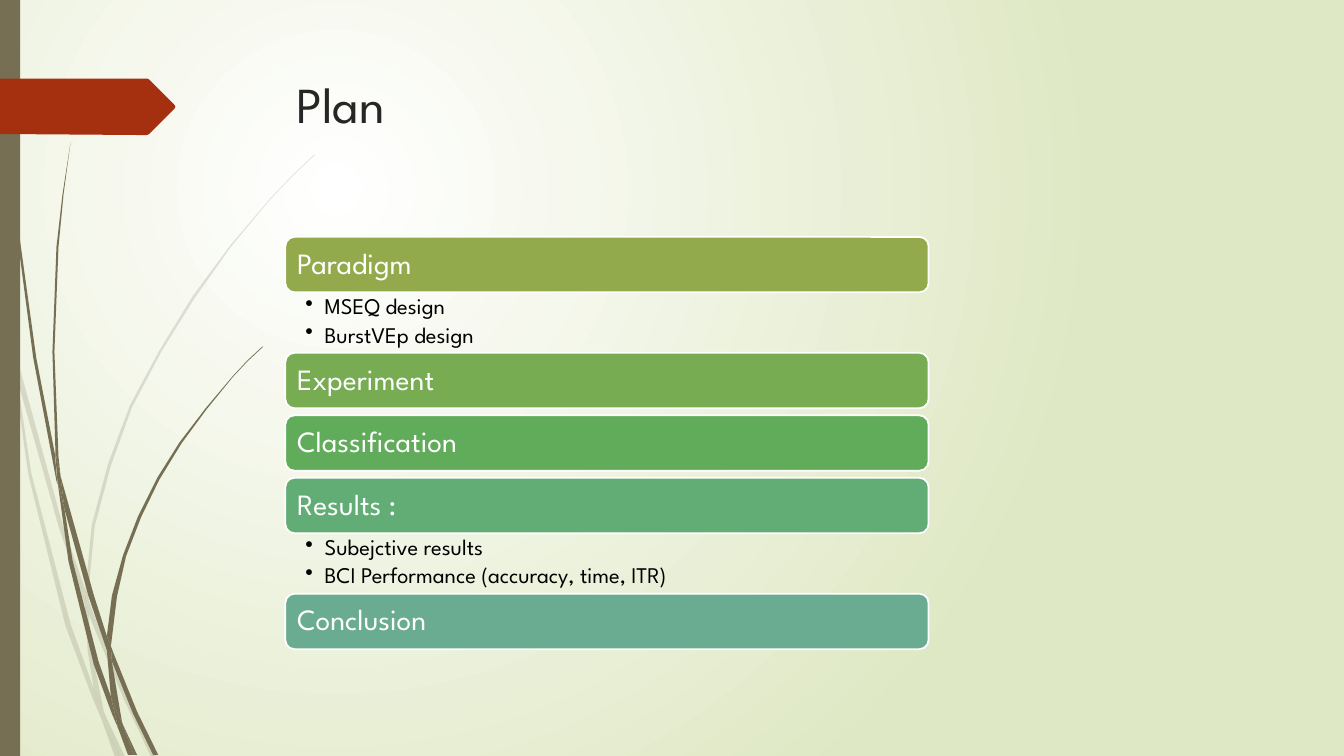
from dataclasses import dataclass

from lxml.etree import SubElement
from pptx import Presentation
from pptx.dml.color import RGBColor
from pptx.enum.shapes import MSO_SHAPE
from pptx.enum.text import MSO_ANCHOR, PP_ALIGN
from pptx.oxml.ns import qn
from pptx.util import Emu, Pt

EMU_PER_PX = 9144


@dataclass(frozen=True)
class Theme:
    """Colours, font and type sizes of the deck."""
    font: str = "League Spartan"
    centre: str = "FFFFFF"
    edge: str = "DFE8C4"
    grass: str = "766F54"
    arrow: str = "A53010"
    title: str = "262626"
    body: str = "000000"
    light: str = "FFFFFF"
    title_size: int = 36
    bar_size: int = 21
    point_size: int = 16


THEME = Theme()

PLAN = [
    ("Paradigm", "92AA4C", ["MSEQ design", "BurstVEp design"]),
    ("Experiment", "77AC52", []),
    ("Classification", "60AC5A", []),
    ("Results :", "62AC75",
     ["Subejctive results", "BCI Performance (accuracy, time, ITR)"]),
    ("Conclusion", "6AAC91", []),
]

PALE_BLADES = [
    "11,350 9,322 0,282 0,299 10,344",
    "58,522 84,599 85,586 62,520 14,345 17,376",
    "92,607 88,596 88,610 123,694 150,751 155,751 127,692",
    "119,751 124,751 105,711",
    "93,683 70,619 31,469 17,376 11,350 28,470 65,621 92,693 101,714 99,707",
    "84,599 87,646 93,683 96,692 105,711 103,706 91,646 88,610 88,608",
    "88,584 94,522 110,462 131,404 160,349 193,296 229,245 268,198 290,175 312,154 "
    "312,153 289,175 268,197 228,244 191,294 158,348 129,402 107,461 91,521 85,584 "
    "85,586 88,596",
    "101,714 114,751 119,751",
    "88,608 88,610 88,596 85,586 84,599",
    "96,692 93,683 99,707 101,714 119,751 105,711",
]

DARK_BLADES = [
    "7,110 17,233 33,355 56,477 57,481 55,457 55,453 36,355 19,232 8,109 5,48 "
    "4,0 3,0 4,48",
    "88,592 106,645 106,633 106,631 93,590 60,472 64,505",
    "113,649 110,641 111,656 132,708 152,749 157,749 136,706",
    "110,691 98,657 72,556 64,505 57,477 68,557 93,659 111,708 117,722 116,717",
    "60,472 58,453 54,349 58,245 63,193 70,141 62,193 56,245 52,349 55,449",
    "133,749 136,749 122,719",
    "57,477 64,505 60,472 55,449 55,453",
    "111,633 116,592 125,552 140,513 158,476 180,440 205,406 231,374 245,359 261,344 "
    "260,344 245,358 231,373 204,405 178,439 156,474 137,512 122,551 111,591 106,631 "
    "110,641",
    "117,722 127,749 131,749",
    "106,645 110,691 116,706 122,719 121,716 111,656 109,651",
    "106,645 109,651 111,656 110,641 106,631 106,633",
    "116,706 110,691 116,717 117,722 130,749 133,749 122,719",
]

ARROW = "173,108 148,133 146,134 136,134 0,133 0,78 136,78 146,78 148,79 173,104 174,106"


def px(*lengths):
    """Turn px lengths into EMU."""
    return [Emu(n * EMU_PER_PX) for n in lengths]


def paint(sp, color, line=None, alpha=None):
    """Give a shape a flat fill, an optional outline and no shadow."""
    sp.shadow.inherit = False
    sp.fill.solid()
    sp.fill.fore_color.rgb = RGBColor.from_string(color)
    if alpha:
        clr = sp.fill._xPr.find(".//" + qn("a:srgbClr"))
        SubElement(clr, qn("a:alpha"), val=str(alpha * 1000))
    if line:
        sp.line.color.rgb = RGBColor.from_string(line)
        sp.line.width = Pt(1.25)
    else:
        sp.line.fill.background()


def add_outline(shapes, outline, color, alpha=None):
    """Draw a closed outline from its corner list."""
    points = [tuple(map(int, pair.split(","))) for pair in outline.split()]
    builder = shapes.build_freeform(*points[0], scale=EMU_PER_PX)
    builder.add_line_segments(points[1:], close=True)
    paint(builder.convert_to_shape(), color, alpha=alpha)


def add_grass(slide, blades, alpha=None):
    """Draw a group of grass blades."""
    shapes = slide.shapes.add_group_shape().shapes
    for blade in blades:
        add_outline(shapes, blade, THEME.grass, alpha)


def set_insets(tf, left, top, right, bottom):
    """Set the inner margins of a text frame."""
    tf.margin_left, tf.margin_top, tf.margin_right, tf.margin_bottom = px(
        left, top, right, bottom)


def write(p, text, size, color, bullet=False, spacing=None, after=0):
    """Write one formatted paragraph."""
    p.alignment = PP_ALIGN.LEFT
    p.line_spacing = spacing
    p.space_after = Pt(after)
    if bullet:
        p.level = 1
        pPr = p._p.get_or_add_pPr()
        indent = px(19)[0]
        pPr.set("marL", str(indent))
        pPr.set("indent", str(-indent))
        SubElement(pPr, qn("a:buChar"), char="•")
    r = p.add_run()
    r.text = text
    r.font.name = THEME.font
    r.font.size = Pt(size)
    r.font.color.rgb = RGBColor.from_string(color)


def add_background(slide):
    """Fill the slide with a radial gradient."""
    fill = slide.background.fill
    fill.gradient()
    for stop, color in zip(fill.gradient_stops, (THEME.centre, THEME.edge)):
        stop.color.rgb = RGBColor.from_string(color)
    grad = slide.element.find(".//" + qn("a:gradFill"))
    grad.remove(grad.find(qn("a:lin")))
    shade = SubElement(grad, qn("a:path"), path="circle")
    SubElement(shade, qn("a:fillToRect"), l="50000", t="50000", r="100000", b="100000")


def add_title(slide, text):
    """Add the slide title."""
    tf = slide.shapes.add_textbox(*px(284, 68, 975, 140)).text_frame
    tf.word_wrap = True
    write(tf.paragraphs[0], text, THEME.title_size, THEME.title)


def add_bar(slide, y, text, color):
    """Add a rounded bar with its heading."""
    sp = slide.shapes.add_shape(MSO_SHAPE.ROUNDED_RECTANGLE, *px(283, y, 638, 55))
    paint(sp, color, line=THEME.light)
    tf = sp.text_frame
    tf.word_wrap = True
    tf.vertical_anchor = MSO_ANCHOR.MIDDLE
    set_insets(tf, 9, 9, 9, 9)
    write(tf.paragraphs[0], text, THEME.bar_size, THEME.light, spacing=0.9)


def add_points(slide, y, points):
    """Add the bulleted points below a bar."""
    tf = slide.shapes.add_textbox(*px(283, y, 638, 61)).text_frame
    tf.word_wrap = True
    set_insets(tf, 20, 3, 16, 3)
    for i, text in enumerate(points):
        p = tf.add_paragraph() if i else tf.paragraphs[0]
        write(p, text, THEME.point_size, THEME.body, bullet=True, spacing=0.9, after=3)


def main():
    """Build and save the slide."""
    prs = Presentation()
    prs.slide_width, prs.slide_height = px(1333, 750)
    slide = prs.slides.add_slide(prs.slide_layouts[6])
    add_background(slide)
    add_grass(slide, PALE_BLADES, alpha=20)
    add_grass(slide, DARK_BLADES)
    paint(slide.shapes.add_shape(MSO_SHAPE.RECTANGLE, *px(0, 0, 20, 750)), THEME.grass)
    add_outline(slide.shapes, ARROW, THEME.arrow)
    add_title(slide, "Plan")
    y = 235
    for heading, color, points in PLAN:
        add_bar(slide, y, heading, color)
        if points:
            add_points(slide, y + 55, points)
        y += 115 if points else 62
    prs.save("out.pptx")


if __name__ == "__main__":
    main()
